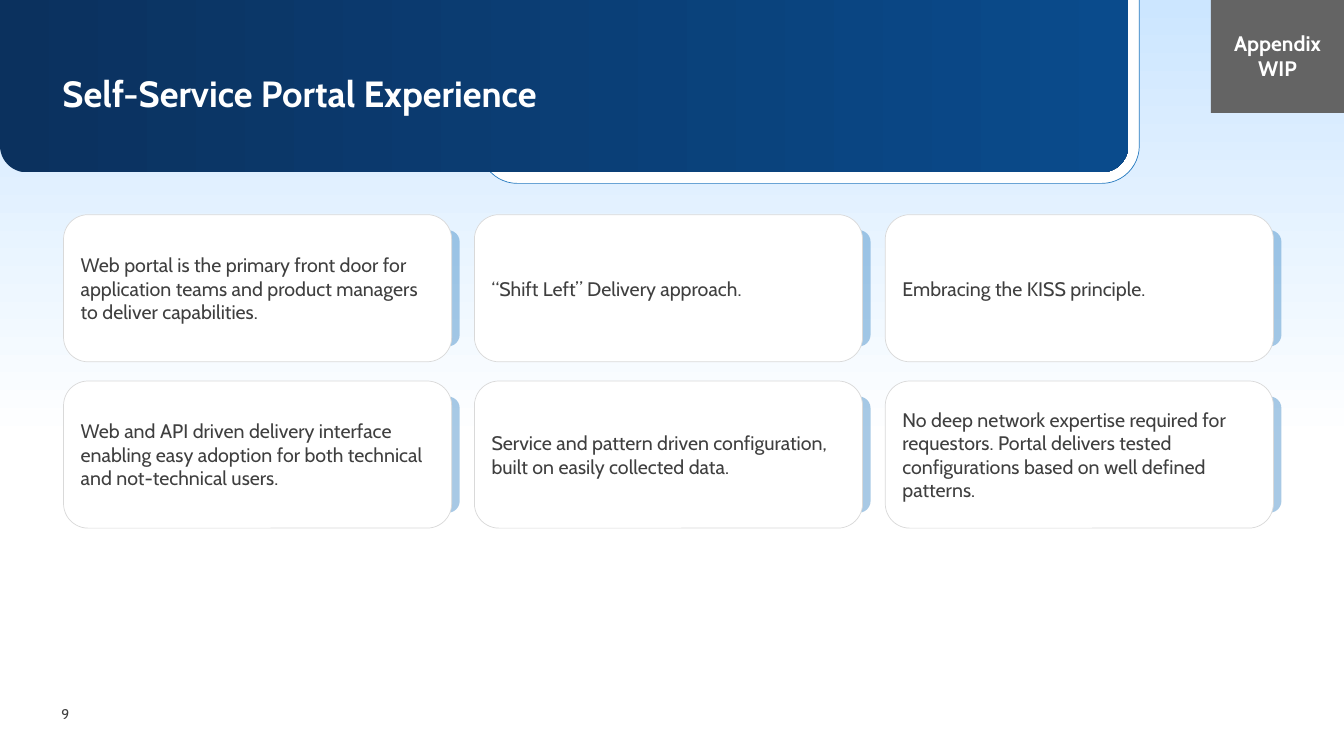
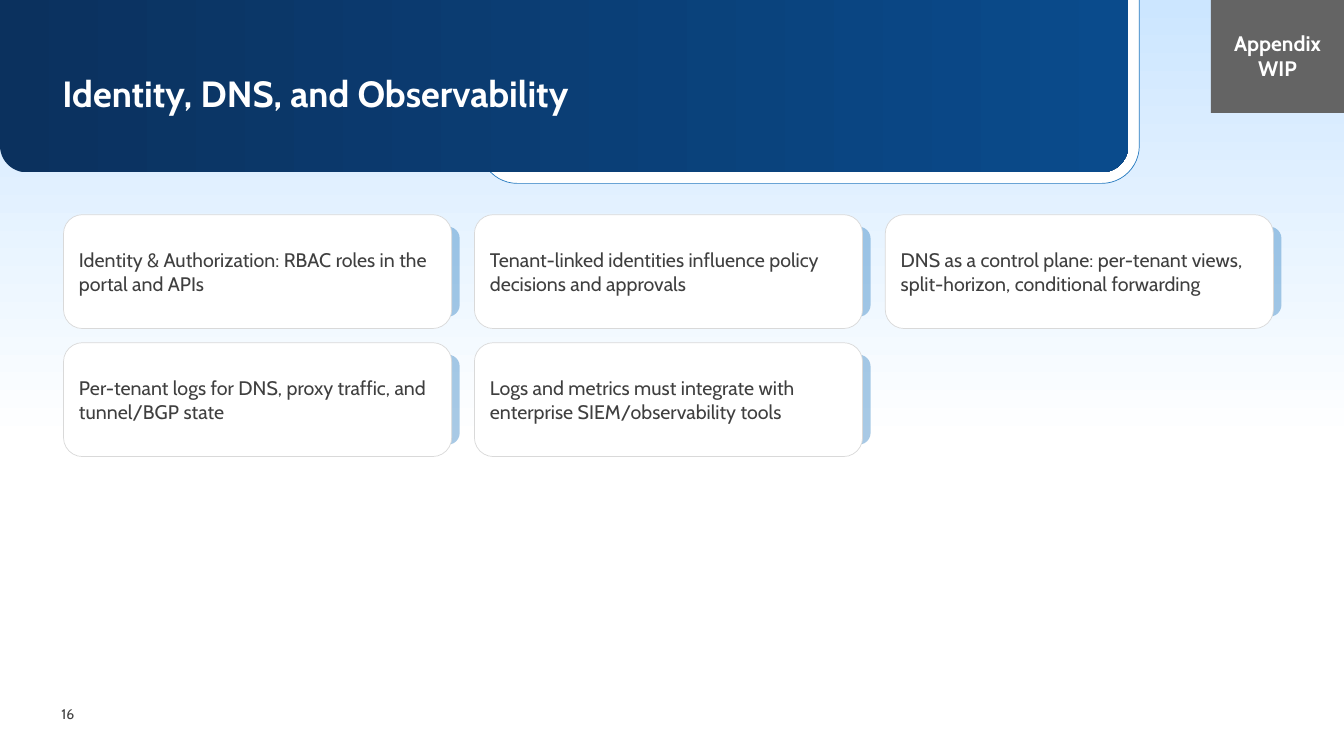
from lxml.etree import SubElement
from pptx import Presentation
from pptx.dml.color import RGBColor
from pptx.enum.shapes import MSO_SHAPE
from pptx.enum.text import MSO_ANCHOR, PP_ALIGN
from pptx.oxml.ns import qn
from pptx.util import Inches, Pt

# Shared colours and text styles
WHITE = RGBColor(0xFF, 0xFF, 0xFF)
TEXT_GRAY = RGBColor(0x3F, 0x3F, 0x3F)
TAG_GRAY = RGBColor(0x64, 0x64, 0x64)
BORDER_GRAY = RGBColor(0xD9, 0xD9, 0xD9)
ACCENT_BLUE = RGBColor(0x26, 0x7A, 0xC0)
SKY_BLUE = RGBColor(0xCC, 0xE6, 0xFF)
BAND_LEFT = RGBColor(0x0B, 0x31, 0x5E)
BAND_RIGHT = RGBColor(0x0A, 0x4B, 0x8C)

TITLE_STYLE = {"size": Pt(26), "bold": True, "color": WHITE}
TAG_STYLE = {"size": Pt(15), "bold": True, "color": WHITE}
CARD_STYLE = {"size": Pt(14), "bold": False, "color": TEXT_GRAY}
NUMBER_STYLE = {"size": Pt(10), "bold": False, "color": TEXT_GRAY}

# Card grid
GRID_LEFT, GRID_TOP = 0.63, 2.13
COLUMNS, COLUMN_PITCH, CARD_WIDTH = 3, 4.075, 3.85
SHADE_OFFSET, SHADE_WIDTH = 3.23, 0.7

SLIDES = [
    {
        "title": "Self-Service Portal Experience",
        "number": "9",
        "card_height": 1.46,
        "row_pitch": 1.65,
        "cards": [
            "Web portal is the primary front door for application teams and product managers to deliver capabilities.",
            "“Shift Left” Delivery approach.",
            "Embracing the KISS principle.",
            "Web and API driven delivery interface enabling easy adoption for both technical and not-technical users.",
            "Service and pattern driven configuration, built on easily collected data.",
            "No deep network expertise required for requestors. Portal delivers tested configurations "
            "based on well defined patterns.",
        ],
    },
    {
        "title": "Identity, DNS, and Observability",
        "number": "16",
        "card_height": 1.13,
        "row_pitch": 1.27,
        "cards": [
            "Identity & Authorization: RBAC roles in the portal and APIs",
            "Tenant-linked identities influence policy decisions and approvals",
            "DNS as a control plane: per-tenant views, split-horizon, conditional forwarding",
            "Per-tenant logs for DNS, proxy traffic, and tunnel/BGP state",
            "Logs and metrics must integrate with enterprise SIEM/observability tools",
        ],
    },
]


def add_panel(slide, kind, box, fill, line=None, angle=0):
    """Add a shape; a pair of colours as fill makes a gradient."""
    shape = slide.shapes.add_shape(kind, *map(Inches, box))
    shape.shadow.inherit = False
    if isinstance(fill, list):
        shape.fill.gradient()
        shape.fill.gradient_angle = angle
        for stop, color in zip(shape.fill.gradient_stops, fill):
            stop.color.rgb = color
    else:
        shape.fill.solid()
        shape.fill.fore_color.rgb = fill
    if line is None:
        shape.line.fill.background()
    else:
        shape.line.color.rgb = line
        shape.line.width = Pt(0.5)
    return shape


def write_text(shape, text, style, insets, anchor=MSO_ANCHOR.MIDDLE, align=PP_ALIGN.LEFT):
    """Fill a shape with one styled paragraph; insets are horizontal, vertical."""
    horizontal, vertical = map(Inches, insets)
    frame = shape.text_frame
    frame_format = {
        "word_wrap": True,
        "vertical_anchor": anchor,
        "margin_left": horizontal,
        "margin_right": horizontal,
        "margin_top": vertical,
        "margin_bottom": vertical,
    }
    for name, value in frame_format.items():
        setattr(frame, name, value)
    paragraph = frame.paragraphs[0]
    paragraph.text = text
    paragraph.alignment = align
    font = paragraph.font
    font.name = "Cabin"
    for name, value in style.items():
        if name == "color":
            font.color.rgb = value
        else:
            setattr(font, name, value)
    return paragraph


presentation = Presentation()
presentation.slide_width = Inches(13.33)
presentation.slide_height = Inches(7.5)

for content in SLIDES:
    slide = presentation.slides.add_slide(presentation.slide_layouts[6])

    # Sky background and title band
    add_panel(slide, MSO_SHAPE.RECTANGLE, (0, 0, 13.33, 4.4), [SKY_BLUE, WHITE], angle=270)
    outline = add_panel(slide, MSO_SHAPE.ROUND_2_SAME_RECTANGLE, (4.76, -0.04, 6.54, 1.86), WHITE, ACCENT_BLUE)
    band = add_panel(slide, MSO_SHAPE.ROUND_2_SAME_RECTANGLE, (0, 0, 11.19, 1.71), [BAND_LEFT, BAND_RIGHT])
    for shape, corner in ((outline, 0.2), (band, 0.155)):
        shape.adjustments[0] = 0
        shape.adjustments[1] = corner

    # Title
    title_box = slide.shapes.add_textbox(*map(Inches, (0.62, 0.75, 10.57, 0.78)))
    paragraph = write_text(title_box, content["title"], TITLE_STYLE, (0, 0), MSO_ANCHOR.TOP)
    paragraph.line_spacing = 0.9

    # Cards, each with a translucent edge behind it
    height = content["card_height"]
    shade_height = height * 0.79
    for index, text in enumerate(content["cards"]):
        row, column = divmod(index, COLUMNS)
        left = GRID_LEFT + column * COLUMN_PITCH
        top = GRID_TOP + row * content["row_pitch"]
        shade_box = (left + SHADE_OFFSET, top + (height - shade_height) / 2, SHADE_WIDTH, shade_height)
        shade = add_panel(slide, MSO_SHAPE.ROUNDED_RECTANGLE, shade_box, ACCENT_BLUE)
        color = shade.fill._xPr.find(qn("a:solidFill"))[0]
        SubElement(color, qn("a:alpha"), val="40000")
        card = add_panel(slide, MSO_SHAPE.ROUNDED_RECTANGLE, (left, top, CARD_WIDTH, height), WHITE, BORDER_GRAY)
        write_text(card, text, CARD_STYLE, (0.1, 0.1))

    # Appendix tag and slide number
    tag = add_panel(slide, MSO_SHAPE.RECTANGLE, (12.01, -0.02, 1.32, 1.14), TAG_GRAY)
    write_text(tag, "Appendix WIP", TAG_STYLE, (0.1, 0.05), align=PP_ALIGN.CENTER)
    number_box = slide.shapes.add_textbox(*map(Inches, (0.61, 6.96, 0.39, 0.25)))
    write_text(number_box, content["number"], NUMBER_STYLE, (0, 0.05))

presentation.save("out.pptx")
